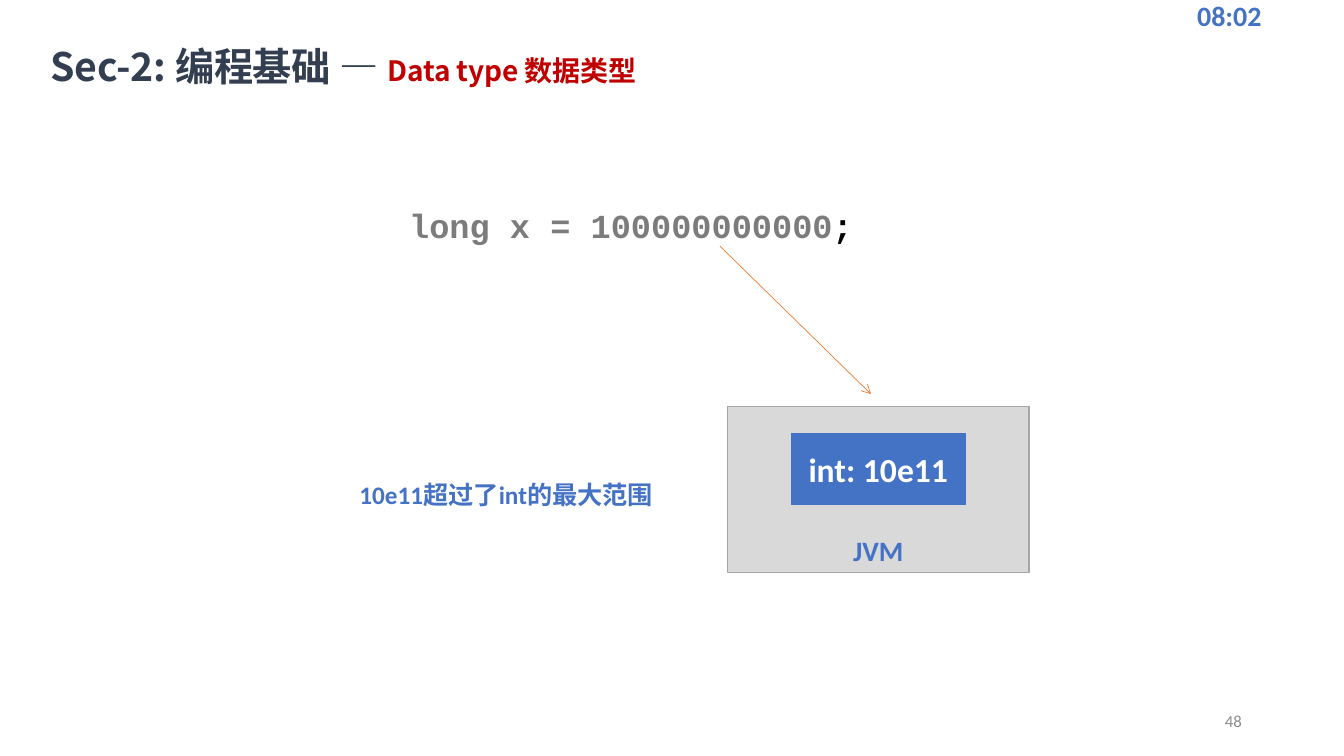
from typing import NamedTuple

from lxml.etree import SubElement
from pptx import Presentation
from pptx.dml.color import RGBColor
from pptx.enum.shapes import MSO_CONNECTOR, MSO_SHAPE
from pptx.enum.text import MSO_ANCHOR, MSO_AUTO_SIZE, PP_ALIGN
from pptx.oxml.ns import qn
from pptx.util import Cm, Pt

COLORS = {
    "blue": "4472C4",
    "navy": "333F50",
    "red": "C00000",
    "gray": "7C7C7C",
    "pale": "8C8C8C",
    "black": "000000",
    "white": "FFFFFF",
    "orange": "ED7D31",
    "panel": "D9D9D9",
    "edge": "A6A6A6",
}
HAN = "Noto Sans CJK SC"
MONO = "Courier New"


class Run(NamedTuple):
    text: str
    size: float
    color: str
    font: str = "Calibri"
    bold: bool = True
    track: int = 0


class Area(NamedTuple):
    left: float
    top: float
    width: float
    height: float


class Label(NamedTuple):
    area: Area
    runs: list[Run]
    align: PP_ALIGN = PP_ALIGN.LEFT
    anchor: MSO_ANCHOR = MSO_ANCHOR.TOP
    grow: bool = True
    space: float = 1.0


class Box(NamedTuple):
    area: Area
    fill: str
    line: str


TITLE = Label(
    Area(1.27, 1.07, 16.46, 1.22),
    [
        Run("Sec-2: 编程基础 — ", 28, "navy", HAN, track=-10),
        Run("Data type 数据类型", 20, "red", HAN, track=-10),
    ],
)
CLOCK = Label(Area(29.92, -0.13, 4.52, 1.02), [Run("08:02", 20, "blue")],
              anchor=MSO_ANCHOR.MIDDLE, grow=False)
NUMBER = Label(Area(23.93, 17.65, 7.62, 1.02),
               [Run("48", 12, "pale", bold=False)],
               PP_ALIGN.RIGHT, MSO_ANCHOR.MIDDLE, False)
CODE = Label(
    Area(6.5, 4.52, 18.8, 1.68),
    [Run("long x = 100000000000", 24, "gray", MONO),
     Run(";", 24, "black", MONO)],
    PP_ALIGN.CENTER, space=1.5,
)
NOTE = Label(Area(8.81, 11.96, 8.61, 1.02),
             [Run("10e11超过了int的最大范围", 18, "blue")])
JVM = Label(Area(19.53, 13.31, 5.21, 1.12), [Run("JVM", 20, "blue")],
            PP_ALIGN.CENTER)
VALUE = Label(Area(19.94, 10.92, 4.39, 1.8), [Run("int: 10e11", 24, "white")],
              PP_ALIGN.CENTER, MSO_ANCHOR.MIDDLE, False)
PANEL = Box(Area(18.34, 10.24, 7.59, 4.19), "panel", "edge")
CELL = Box(VALUE.area, "blue", "blue")


def shade(name: str) -> RGBColor:
    return RGBColor.from_string(COLORS[name])


def write(shape, label: Label) -> None:
    frame = shape.text_frame
    frame.word_wrap = True
    frame.vertical_anchor = label.anchor
    frame.auto_size = (MSO_AUTO_SIZE.SHAPE_TO_FIT_TEXT if label.grow
                       else MSO_AUTO_SIZE.NONE)
    para = frame.paragraphs[0]
    para.alignment = label.align
    para.line_spacing = label.space
    for item in label.runs:
        run = para.add_run()
        run.text = item.text
        look = {"size": Pt(item.size), "bold": item.bold, "name": item.font}
        for key, value in look.items():
            setattr(run.font, key, value)
        run.font.color.rgb = shade(item.color)
        props = run.font._element
        SubElement(props, qn("a:ea")).set("typeface", HAN)
        if item.track:
            props.set("spc", str(item.track))


def add_text(shapes, label: Label) -> None:
    write(shapes.add_textbox(*map(Cm, label.area)), label)


def add_box(shapes, box: Box):
    shape = shapes.add_shape(MSO_SHAPE.RECTANGLE, *map(Cm, box.area))
    shape.shadow.inherit = False
    shape.fill.solid()
    shape.fill.fore_color.rgb = shade(box.fill)
    shape.line.color.rgb = shade(box.line)
    shape.line.width = Pt(1)
    return shape


def add_title(shapes, label: Label) -> None:
    title = shapes.title
    places = zip(label.area._fields, label.area)
    for key, value in places:
        setattr(title, key, Cm(value))
    for side in ("left", "top", "right", "bottom"):
        setattr(title.text_frame, f"margin_{side}", 0)
    write(title, label)


def add_arrow(shapes) -> None:
    ends = map(Cm, (18.14, 6.2, 21.95, 9.93))
    arrow = shapes.add_connector(MSO_CONNECTOR.STRAIGHT, *ends)
    arrow.line.color.rgb = shade("orange")
    arrow.line.width = Pt(0.5)
    SubElement(arrow.line._get_or_add_ln(), qn("a:tailEnd")).set("type", "arrow")
    SubElement(arrow._element.spPr, qn("a:effectLst"))


def add_jvm(shapes) -> None:
    group = shapes.add_group_shape().shapes
    add_box(group, PANEL)
    add_text(group, JVM)
    write(add_box(group, CELL), VALUE)


def main() -> None:
    deck = Presentation()
    deck.slide_width, deck.slide_height = Cm(33.87), Cm(19.05)
    shapes = deck.slides.add_slide(deck.slide_layouts[5]).shapes
    add_title(shapes, TITLE)
    for label in (CLOCK, NUMBER, CODE):
        add_text(shapes, label)
    add_arrow(shapes)
    add_jvm(shapes)
    add_text(shapes, NOTE)
    deck.save("out.pptx")


if __name__ == "__main__":
    main()
